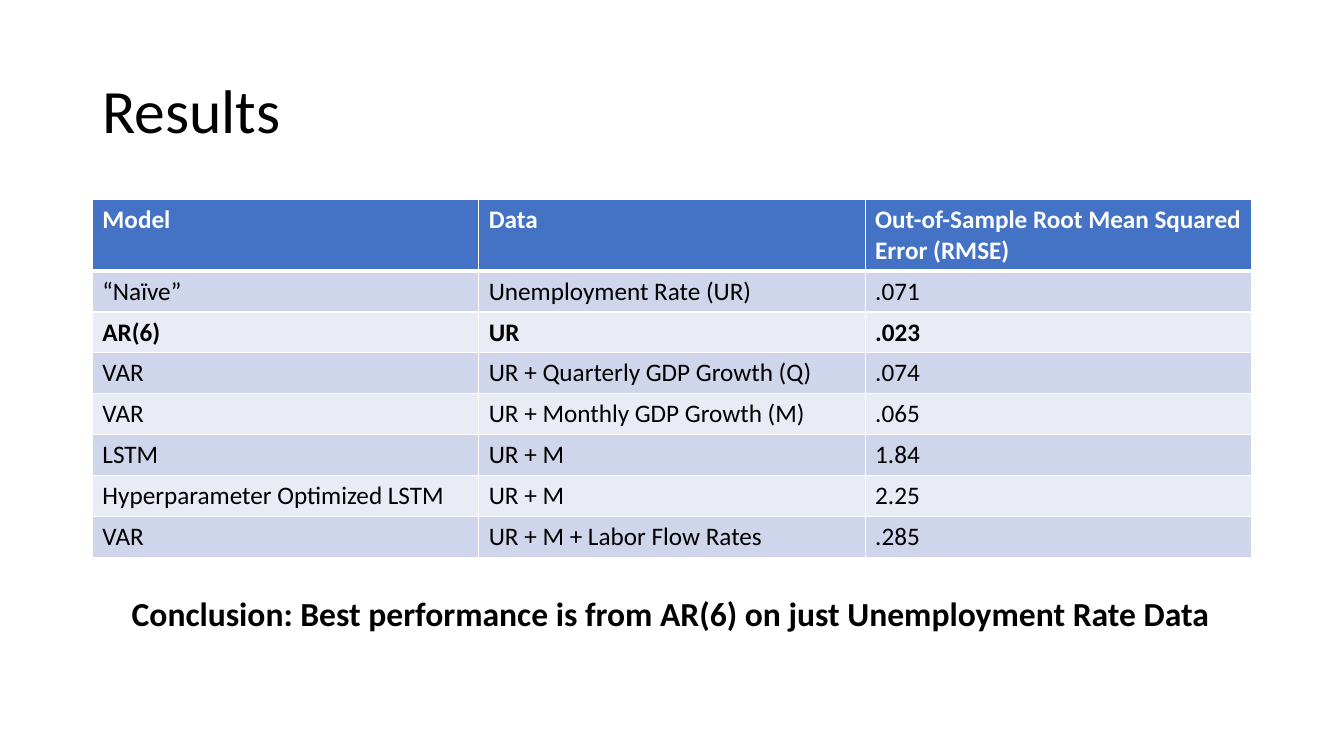
from lxml import etree
from pptx import Presentation
from pptx.dml.color import RGBColor
from pptx.enum import text as t
from pptx.oxml import ns
from pptx.util import Pt

BLACK = RGBColor(0x00, 0x00, 0x00)
WHITE = RGBColor(0xFF, 0xFF, 0xFF)
BLUE = RGBColor(0x44, 0x72, 0xC4)
BANDS = [RGBColor(0xCF, 0xD5, 0xEA), RGBColor(0xE9, 0xEB, 0xF5)]

HEAD = ["Model", "Data", "Out-of-Sample Root Mean Squared Error (RMSE)"]
ROWS = [
    ["“Naïve”", "Unemployment Rate (UR)", ".071"],
    ["AR(6)", "UR", ".023"],
    ["VAR", "UR + Quarterly GDP Growth (Q)", ".074"],
    ["VAR", "UR + Monthly GDP Growth (M)", ".065"],
    ["LSTM", "UR + M", "1.84"],
    ["Hyperparameter Optimized LSTM", "UR + M", "2.25"],
    ["VAR", "UR + M + Labor Flow Rates", ".285"],
]
BEST = "AR(6)"


def write(frame, words, size, color=BLACK, bold=False):
    frame.text = words
    par = frame.paragraphs[0]
    look = {"name": "Calibri", "size": Pt(size), "bold": bold}
    for key, value in look.items():
        setattr(par.runs[0].font, key, value)
    par.runs[0].font.color.rgb = color
    return par


def place(shape, box):
    for key, value in zip(("left", "top", "width", "height"), box):
        setattr(shape, key, Pt(value))


def edge(cell, side, width):
    """Draw one white cell border."""
    line = etree.SubElement(cell._tc.get_or_add_tcPr(), ns.qn("a:" + side),
                            w=str(Pt(width)))
    fill = etree.SubElement(line, ns.qn("a:solidFill"))
    etree.SubElement(fill, ns.qn("a:srgbClr"), val=str(WHITE))


def add_title(slide, box):
    title = slide.shapes.title
    place(title, box)
    frame = title.text_frame
    frame.word_wrap = True
    frame.vertical_anchor = t.MSO_ANCHOR.MIDDLE
    par = write(frame, "Results", 44)
    par.alignment = t.PP_ALIGN.LEFT
    par.line_spacing = 0.9


def add_scores(slide, box, head=50.4):
    rows = [HEAD] + ROWS
    size = [Pt(n) for n in box]
    table = slide.shapes.add_table(len(rows), len(HEAD), *size).table
    for col in table.columns:
        col.width = Pt(box[2] / len(HEAD))
    for r, row in enumerate(rows):
        top = r == 0
        table.rows[r].height = Pt(head if top else (box[3] - head) / len(ROWS))
        for c, words in enumerate(row):
            cell = table.cell(r, c)
            write(cell.text_frame, words, 18, WHITE if top else BLACK,
                  top or row[0] == BEST)
            # Borders come before the fill in the cell's XML
            for side in ("lnL", "lnR", "lnT", "lnB"):
                thick = (top and side == "lnB") or (r == 1 and side == "lnT")
                edge(cell, side, 3 if thick else 1)
            cell.fill.solid()
            cell.fill.fore_color.rgb = BLUE if top else BANDS[(r - 1) % 2]


def add_note(slide, box):
    note = slide.shapes.add_textbox(*[Pt(n) for n in box])
    note.text_frame.word_wrap = True
    write(note.text_frame, "Conclusion: Best performance is from AR(6) "
          "on just Unemployment Rate Data", 24, bold=True)


deck = Presentation()
deck.slide_width, deck.slide_height = Pt(960), Pt(540)
page = deck.slides.add_slide(deck.slide_layouts[5])

# Title, score table and conclusion
add_title(page, (66, 28.75, 828, 104.4))
add_scores(page, (66, 142.5, 828, 254.8))
add_note(page, (87, 420, 828, 36))

deck.save("out.pptx")
